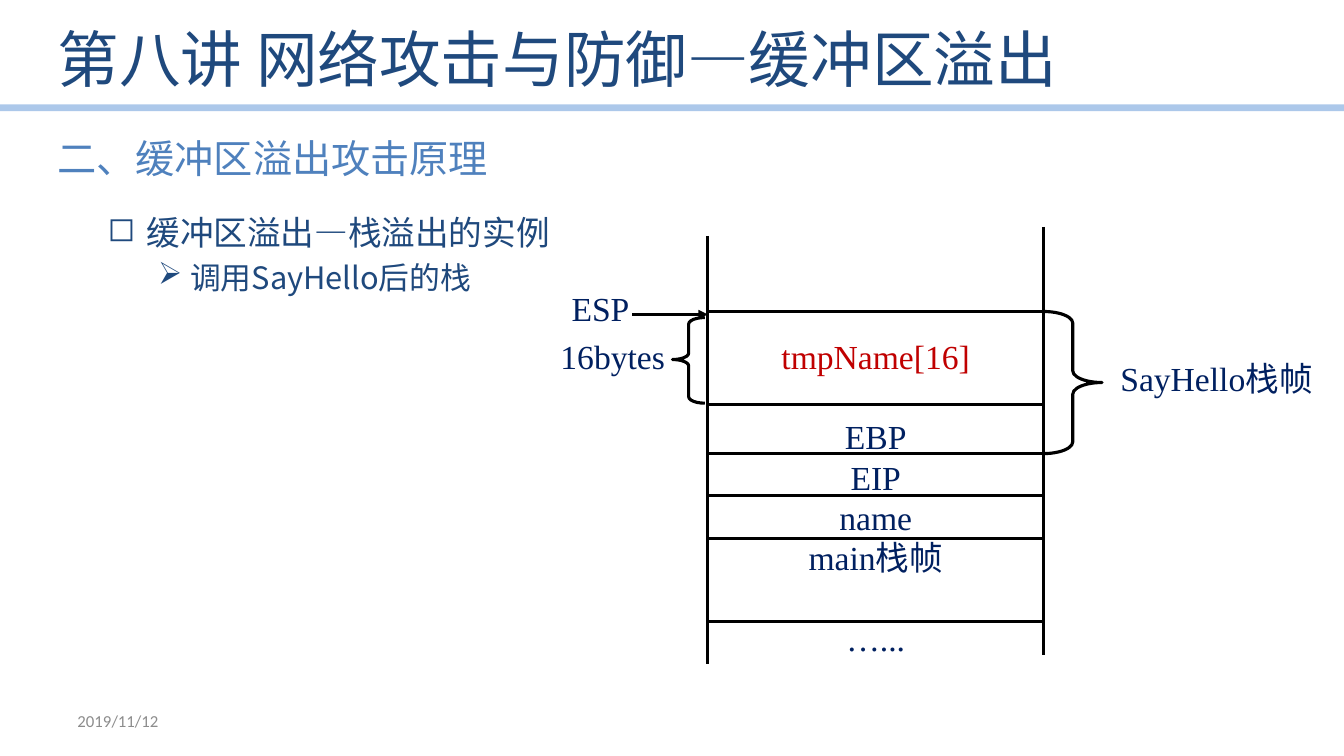
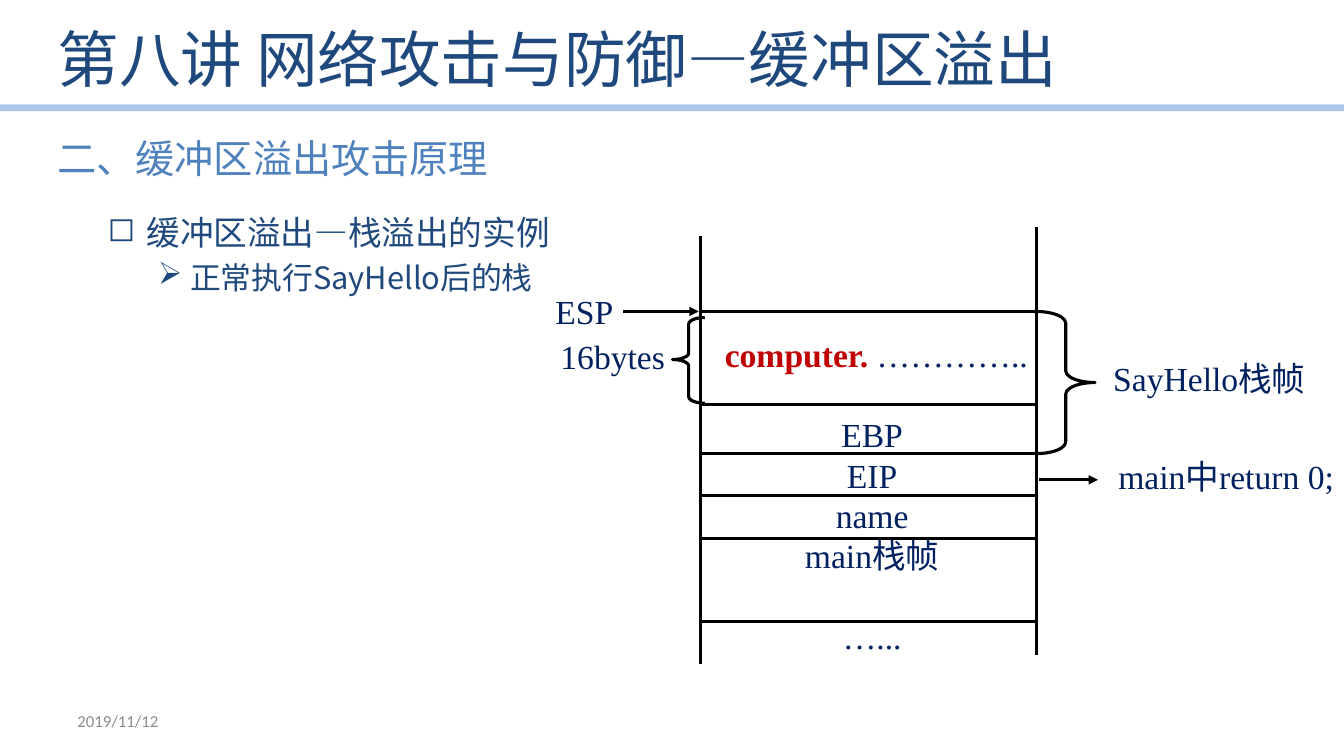
from lxml.etree import SubElement
from pptx import Presentation
from pptx.dml.color import RGBColor
from pptx.enum.shapes import MSO_CONNECTOR, MSO_SHAPE
from pptx.enum.text import MSO_ANCHOR as ANCHOR, MSO_AUTO_SIZE, PP_ALIGN as ALIGN
from pptx.oxml.ns import qn
from pptx.util import Pt

PX = 9144  # 100 px to the inch

NAVY = RGBColor(0x1F, 0x49, 0x7D)
BLUE = RGBColor(0x4F, 0x81, 0xBD)
BAND = RGBColor(0x8E, 0xB4, 0xE3)
GRAY = RGBColor(0x8C, 0x8C, 0x8C)
INK = RGBColor(0x00, 0x20, 0x60)
RED = RGBColor(0xC0, 0x00, 0x00)
BLACK = RGBColor(0, 0, 0)

HAN, SERIF, SANS = "Noto Sans CJK SC", "Times New Roman", "Calibri"
LINE_PITCH = Pt(28.8)

STACK_W, BUFFER_H = 333, 92
FRAME_H = 141
DIVIDERS = (FRAME_H, 183, 225, 308)
RAIL_H = 425
# text and whether an empty line stands above it
LOWER_LABELS = (("EBP", True), ("EIP", False), ("name", False),
                ("main栈帧", False), ("…...", True))


def px(*lengths):
    return [round(length * PX) for length in lengths]


def add_run(paragraph, text, size, color, font=HAN, bold=False):
    run = paragraph.add_run()
    run.text = text
    run.font.size = Pt(size)
    run.font.bold = bold
    run.font.name = font
    run.font.color.rgb = color
    SubElement(run._r.rPr, qn("a:ea")).set("typeface", HAN)


def add_text_frame(slide, box, wrap=True, anchor=ANCHOR.TOP):
    frame = slide.shapes.add_textbox(*px(*box)).text_frame
    frame.word_wrap = wrap
    frame.vertical_anchor = anchor
    return frame


def add_caption(slide, box, text, wrap=False):
    """Serif label beside the stack."""
    paragraph = add_text_frame(slide, box, wrap).paragraphs[0]
    paragraph.line_spacing = LINE_PITCH
    add_run(paragraph, text, 24, INK, SERIF)


def add_line(slide, x1, y1, x2, y2, color=BLACK, width=2.25, arrow=False):
    line = slide.shapes.add_connector(MSO_CONNECTOR.STRAIGHT, *px(x1, y1, x2, y2))
    line.line.color.rgb = color
    line.line.width = Pt(width)
    properties = line._element.spPr
    if arrow:
        SubElement(properties.find(qn("a:ln")), qn("a:tailEnd")).set("type", "triangle")
    SubElement(properties, qn("a:effectLst"))
    return line


def add_outline(slide, preset, box):
    outline = slide.shapes.add_shape(preset, *px(*box))
    outline.shadow.inherit = False
    outline.fill.background()
    outline.line.color.rgb = BLACK
    outline.line.width = Pt(2.25)
    return outline


def add_brace(slide, box, middle=0.5, rotation=0):
    brace = add_outline(slide, MSO_SHAPE.RIGHT_BRACE, box)
    brace.adjustments[0] = 0.2
    brace.adjustments[1] = middle
    brace.rotation = rotation


def add_lecture_slide(prs):
    """Title, band, section heading and date that every slide carries."""
    slide = prs.slides.add_slide(prs.slide_layouts[5])
    title = slide.shapes.title
    title.left, title.top, title.width, title.height = px(47, 9, 1102, 97)
    frame = title.text_frame
    frame.auto_size = MSO_AUTO_SIZE.NONE
    frame.vertical_anchor = ANCHOR.MIDDLE
    frame.paragraphs[0].alignment = ALIGN.LEFT
    add_run(frame.paragraphs[0], "第八讲 网络攻击与防御—缓冲区溢出", 44, NAVY)

    band = add_line(slide, 0, 107, 1333, 107, BAND, 4.75)
    band_color = band._element.spPr.find(".//" + qn("a:srgbClr"))
    SubElement(band_color, qn("a:alpha")).set("val", "73000")

    heading = add_text_frame(slide, (47, 128, 452, 57))
    add_run(heading.paragraphs[0], "二、缓冲区溢出攻击原理", 28, BLUE)
    date = add_text_frame(slide, (67, 695, 311, 40), anchor=ANCHOR.MIDDLE)
    add_run(date.paragraphs[0], "2019/11/12", 12, GRAY, SANS)
    return slide


def add_bullet(paragraph, mark, indent, hanging):
    properties = paragraph._p.get_or_add_pPr()
    properties.set("marL", str(indent * PX))
    properties.set("indent", str(-hanging * PX))
    SubElement(properties, qn("a:buChar")).set("char", mark)


def add_outline_points(slide, box, detail):
    frame = add_text_frame(slide, box)
    topic = frame.paragraphs[0]
    add_bullet(topic, "◻", 81, 31)
    add_run(topic, " 缓冲区溢出—栈溢出的实例", 24, NAVY)
    step = frame.add_paragraph()
    add_bullet(step, "➢", 125, 25)
    step.space_before = Pt(5)
    add_run(step, " " + detail, 22, NAVY)


def add_stack_labels(slide, box, buffer_runs):
    frame = add_text_frame(slide, box, wrap=False)
    buffer_label = frame.paragraphs[0]
    for text, color, bold in buffer_runs:
        add_run(buffer_label, text, 24, color, SERIF, bold)
    for text, gap_above in LOWER_LABELS:
        label = frame.add_paragraph()
        if gap_above:
            label.space_before = LINE_PITCH
        add_run(label, text, 24, INK, SERIF)
    for label in frame.paragraphs:
        label.alignment = ALIGN.CENTER
        label.line_spacing = LINE_PITCH


def add_stack(slide, left, top):
    """Rails, buffer cell and dividers, with the frame brace on the right."""
    right = left + STACK_W
    add_outline(slide, MSO_SHAPE.RECTANGLE, (left, top, STACK_W, BUFFER_H))
    for x, rise in ((left, 75), (right, 84)):
        add_line(slide, x, top - rise, x, top - rise + RAIL_H)
    for drop in DIVIDERS:
        add_line(slide, left, top + drop, right, top + drop)
    add_brace(slide, (right, top, 58, FRAME_H))
    add_caption(slide, (right + 58, top + 41, 219, 50), " SayHello栈帧", wrap=True)


def add_buffer_size(slide, left, top):
    add_caption(slide, (left, top + 13, 125, 50), "16bytes")
    add_brace(slide, (left + 121, top, 32, 85), 0.51, 180)


def add_stack_pointer(slide, label_left, label_top, arrow_left, arrow_y):
    add_caption(slide, (label_left, label_top, 78, 50), "ESP")
    add_line(slide, arrow_left, arrow_y, arrow_left + 75, arrow_y, arrow=True)


def add_return_target(slide, left, y):
    add_line(slide, left, y, left + 58, y, arrow=True)
    add_caption(slide, (left + 60, y - 29, 242, 50), " main中return 0;", wrap=True)


def add_stack_slide(prs, detail, stack_left, label_box, buffer_runs, pointer):
    slide = add_lecture_slide(prs)
    add_outline_points(slide, (47, 205, 1131, 438), detail)
    add_stack_labels(slide, label_box, buffer_runs)
    add_stack(slide, stack_left, 309)
    add_stack_pointer(slide, *pointer)
    add_buffer_size(slide, 546, 315)
    return slide


def main():
    prs = Presentation()
    prs.slide_width, prs.slide_height = px(1333, 750)
    add_stack_slide(prs, "调用SayHello后的栈", 702, (764, 328, 209, 333),
                    [("tmpName[16]", RED, False)], (557, 281, 627, 312))
    returned = add_stack_slide(
        prs, "正常执行SayHello后的栈", 695, (699, 326, 332, 333),
        [(" computer. ", RED, True), ("…………..", INK, False)],
        (541, 284, 618, 309))
    add_return_target(returned, 1031, 476)
    prs.save("out.pptx")


if __name__ == "__main__":
    main()
